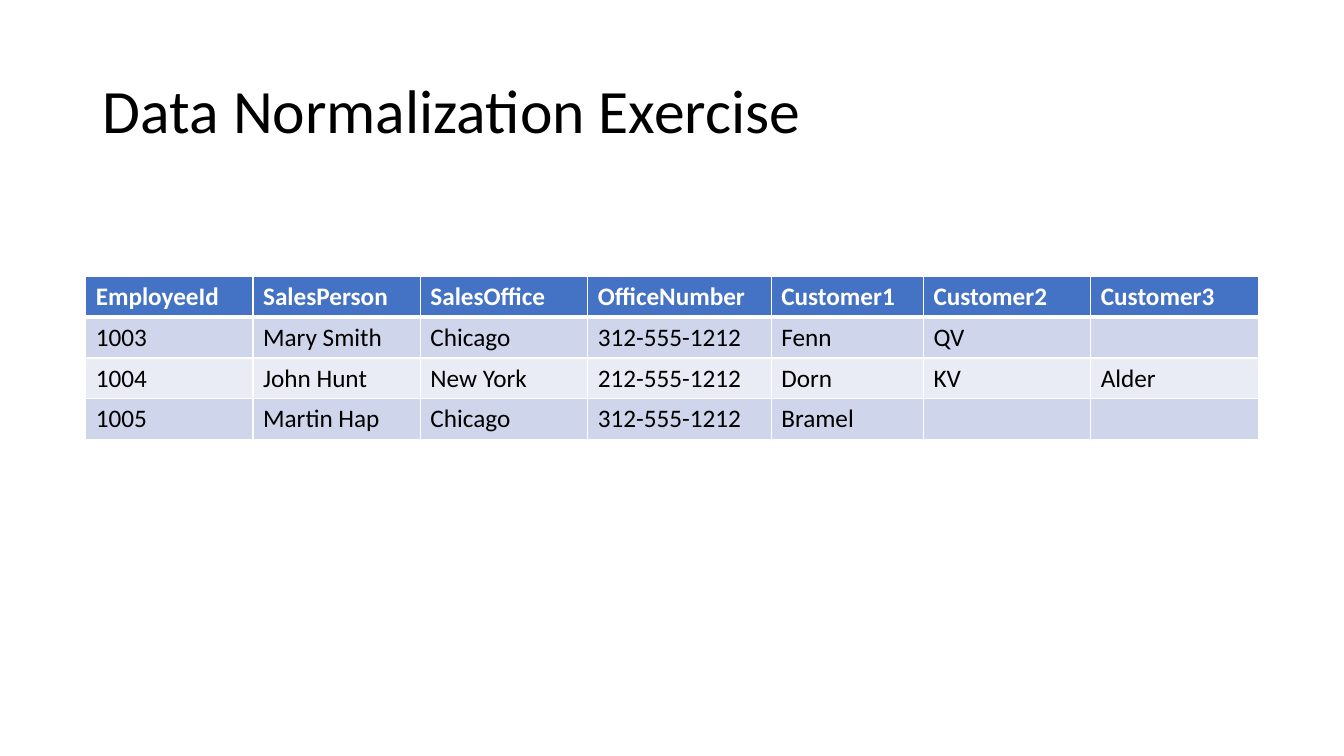
import pptx
import pptx.util
import pptx.dml.color
import pptx.enum.text
import lxml.etree
from pptx.oxml.ns import qn

TITLE = "Data Normalization Exercise"
ROWS = [
    ["EmployeeId", "SalesPerson", "SalesOffice", "OfficeNumber",
     "Customer1", "Customer2", "Customer3"],
    ["1003", "Mary Smith", "Chicago", "312-555-1212", "Fenn", "QV", ""],
    ["1004", "John Hunt", "New York", "212-555-1212", "Dorn", "KV", "Alder"],
    ["1005", "Martin Hap", "Chicago", "312-555-1212", "Bramel", "", ""],
]
WIDTHS = [1.66, 1.66, 1.66, 1.82, 1.51, 1.66, 1.66]
ROW_H = 0.405
LEFT, TOP = 0.85, 2.74
HEAD, BANDS = "4472C4", ["E9EBF5", "CFD5EA"]
WHITE, BLACK = "FFFFFF", "000000"

inch = pptx.util.Inches


def color(text):
    return pptx.dml.color.RGBColor.from_string(text)


def style(font, hue, **values):
    font.color.rgb = color(hue)
    for name, value in {"name": "Calibri", **values}.items():
        setattr(font, name, value)


def edge(cell, side, width):
    """Draw one white border; call before the cell gets its fill."""
    props = cell._tc.get_or_add_tcPr()
    line = lxml.etree.SubElement(props, qn("a:ln" + side),
                                 w=str(pptx.util.Pt(width)))
    fill = lxml.etree.SubElement(line, qn("a:solidFill"))
    lxml.etree.SubElement(fill, qn("a:srgbClr"), val=WHITE)


def add_title(slide):
    title = slide.shapes.title
    box = {"left": 0.92, "top": 0.4, "width": 11.5, "height": 1.45}
    for name, value in box.items():
        setattr(title, name, inch(value))
    frame = title.text_frame
    frame.text = TITLE
    frame.vertical_anchor = pptx.enum.text.MSO_ANCHOR.MIDDLE
    para = frame.paragraphs[0]
    para.alignment = pptx.enum.text.PP_ALIGN.LEFT
    para.line_spacing = 0.9
    style(para.runs[0].font, BLACK, size=pptx.util.Pt(44))


def add_sales(slide):
    table = slide.shapes.add_table(
        len(ROWS), len(WIDTHS), inch(LEFT), inch(TOP),
        inch(sum(WIDTHS)), inch(ROW_H * len(ROWS))).table
    for col, width in zip(table.columns, WIDTHS):
        col.width = inch(width)
    for r, row in enumerate(ROWS):
        table.rows[r].height = inch(ROW_H)
        head = r == 0
        for c, text in enumerate(row):
            cell = table.cell(r, c)
            for side in "LRTB":
                thick = (r, side) in [(0, "B"), (1, "T")]
                edge(cell, side, 3 if thick else 1)
            cell.fill.solid()
            cell.fill.fore_color.rgb = color(HEAD if head else BANDS[r % 2])
            cell.text = text
            style(cell.text_frame.paragraphs[0].font,
                  WHITE if head else BLACK,
                  size=pptx.util.Pt(18), bold=head)


def main():
    deck = pptx.Presentation()
    deck.slide_width, deck.slide_height = inch(13.33), inch(7.5)
    slide = deck.slides.add_slide(deck.slide_layouts.get_by_name("Title Only"))
    add_title(slide)
    add_sales(slide)
    deck.save("out.pptx")


if __name__ == "__main__":
    main()
